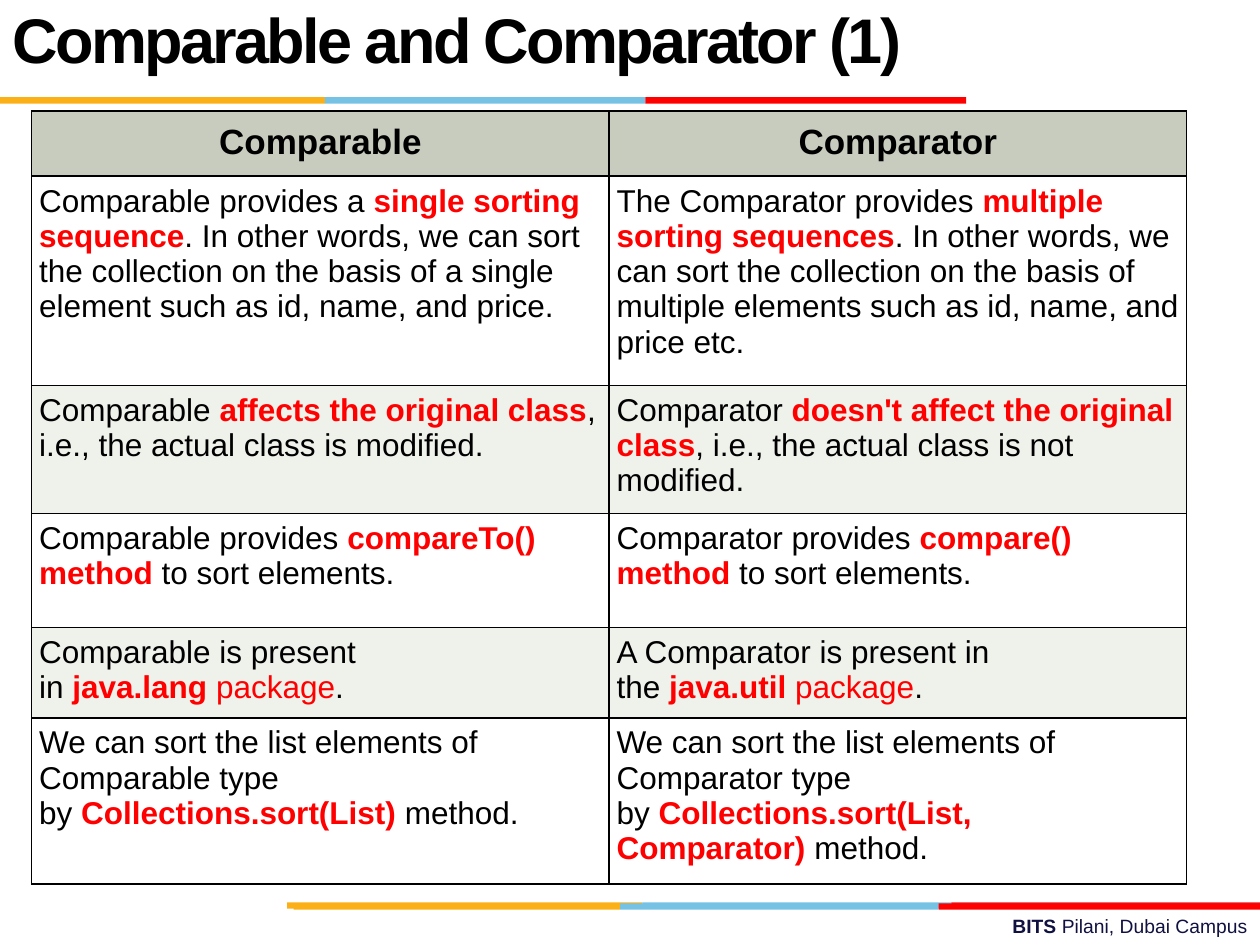
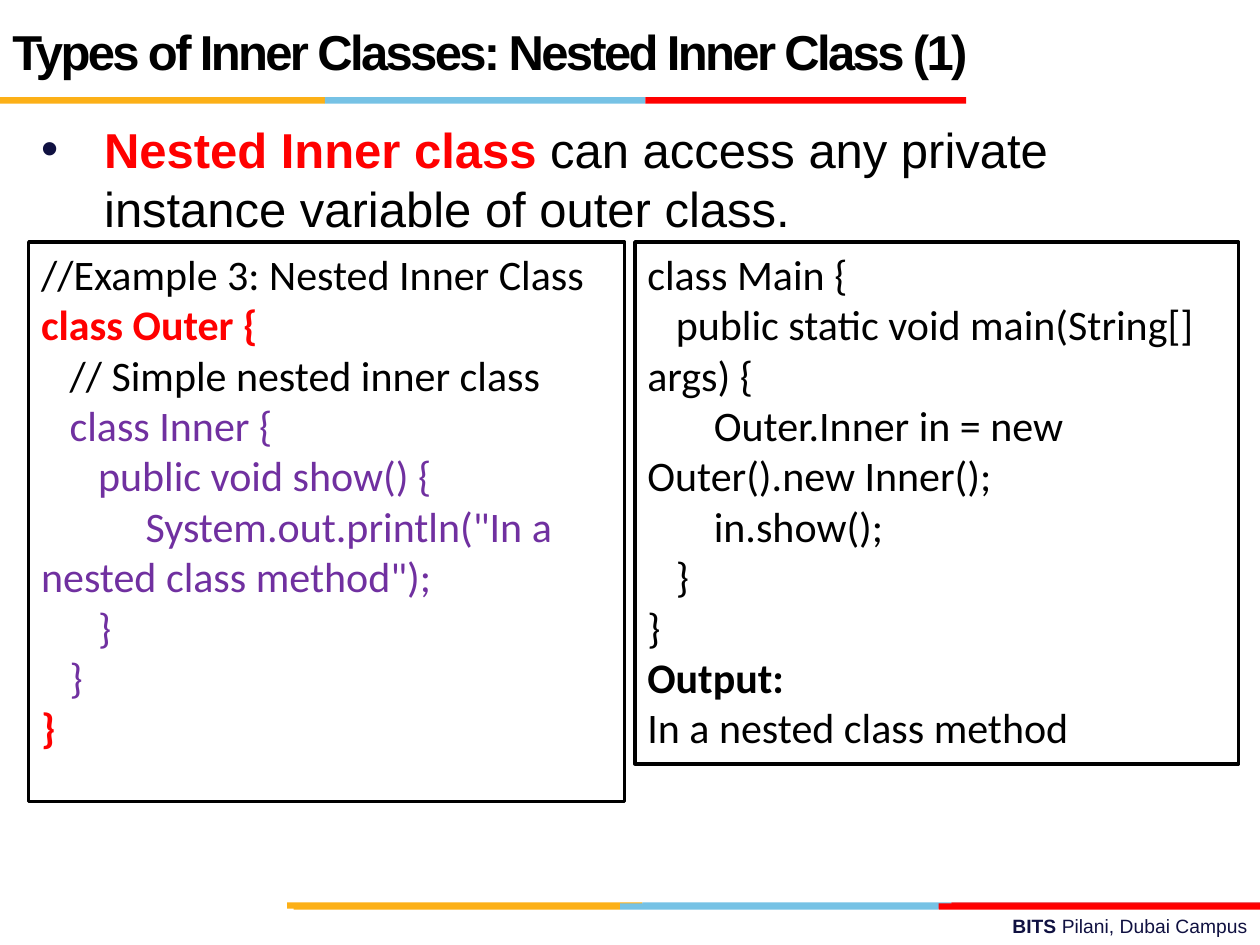
import pptx
import pptx.util
import pptx.dml.color
import pptx.enum.shapes
import pptx.enum.text
import pptx.oxml
import pptx.oxml.ns
from dataclasses import dataclass

Cm = pptx.util.Cm
Pt = pptx.util.Pt
Align = pptx.enum.text.PP_ALIGN
Anchor = pptx.enum.text.MSO_ANCHOR


@dataclass(frozen=True)
class Theme:
    ink: str = "000000"
    paper: str = "FFFFFF"
    red: str = "FF0000"
    brick: str = "E31C24"
    violet: str = "7030A0"
    navy: str = "101141"
    amber: str = "FCB017"
    sky: str = "76C2E5"
    head: str = "C7CCBE"
    band: str = "EFF1EB"
    sans: str = "Arial"
    code: str = "Calibri"
    big: int = 36
    lead: int = 28
    listing: int = 24
    label: int = 20
    cell: int = 18
    foot: int = 11


T = Theme()
MARKS = {
    "*": (T.red, True),
    "+": (T.red, False),
    "^": (T.violet, False),
    "!": (T.ink, True),
    "#": (T.navy, True),
    "=": (T.navy, False),
}

ROWS = [
    ("Comparable provides a~|*single sorting sequence|. In other words, we can sort "
     "the collection on the basis of a single element such as id, name, and price.",
     "The Comparator provides~|*multiple sorting sequences|. In other words, we can sort "
     "the collection on the basis of multiple elements such as id, name, and price etc."),
    ("Comparable~|*affects the original class|, i.e., the actual class is modified.",
     "Comparator~|*doesn't affect the original class|, i.e., the actual class is not modified."),
    ("Comparable provides~|*compareTo() method|~to sort elements.",
     "Comparator provides~|*compare() method|~to sort elements."),
    ("Comparable is present in~|*java.lang|+~package|.",
     "A Comparator is present in the~|*java.util|+~package|."),
    ("We can sort the list elements of Comparable type by~|*Collections.sort(List)|~method.",
     "We can sort the list elements of Comparator type by~"
     "|*Collections.sort(List, Comparator)|~method."),
]

OUTER = """//Example 3: Nested Inner Class
*class Outer {
   // Simple nested inner class
   |^class Inner {
^      public void show() {
^           System.out.println("In a nested class method");
^      }
   |^}
*}"""

MAIN = """class Main {
   public static void main(String[] args) {
       Outer.Inner in = new Outer().new Inner();
       in.show();
   }
}
!Output:
In a nested class method"""


def color(code):
    return pptx.dml.color.RGBColor.from_string(code)


def write(par, line, size, face=T.sans):
    parts = line.split("|")
    par.font.size = Pt(size)
    par.font.name = face
    for part in parts:
        tint, bold = MARKS.get(part[0], (T.ink, False))
        run = par.add_run()
        run.text = (part[1:] if part[0] in MARKS else part).replace("~", chr(160))
        font = run.font if len(parts) > 1 else par.font
        font.color.rgb = color(tint)
        font.bold = bold


def block(slide, box, tint):
    kind = pptx.enum.shapes.MSO_SHAPE.RECTANGLE
    shape = slide.shapes.add_shape(kind, *map(Cm, box))
    shape.shadow.inherit = False
    shape.fill.solid()
    shape.fill.fore_color.rgb = color(tint)
    shape.line.fill.background()
    return shape


def label(slide, box):
    frame = slide.shapes.add_textbox(*map(Cm, box)).text_frame
    frame.word_wrap = True
    return frame


def strip(slide, top, edges, last=T.red):
    for left, right, tint in zip(edges, edges[1:], (T.amber, T.sky, last)):
        block(slide, (left, top, right - left, 0.13), tint)


def base(deck):
    slide = deck.slides.add_slide(deck.slide_layouts[6])
    par = label(slide, (9.09, 18.31, 16.31, 0.74)).paragraphs[0]
    par.alignment = Align.RIGHT
    write(par, "#BITS |=Pilani, Dubai Campus", T.foot)
    strip(slide, 18.19, (5.79, 12.95, 19.18, 25.4), T.brick)
    strip(slide, 18.21, (5.92, 12.5, 18.92, 25.4))
    strip(slide, 1.96, (0, 6.55, 13.01, 19.48))
    return slide


def title(slide, box, text, size):
    frame = label(slide, box)
    frame.vertical_anchor = Anchor.MIDDLE
    par = frame.paragraphs[0]
    par.line_spacing = Pt(36)
    write(par, "!" + text, size)
    par.runs[0].font._element.set("spc", "-150")


def border(cell):
    props = cell._tc.get_or_add_tcPr()
    space = pptx.oxml.ns.nsdecls("a")
    for side in "LRTB":
        props.append(pptx.oxml.parse_xml(
            f'<a:ln{side} {space} w="12700"><a:solidFill>'
            f'<a:srgbClr val="{T.ink}"/></a:solidFill></a:ln{side}>'))


def fill(cell, line, tint, size, pad):
    border(cell)
    cell.fill.solid()
    cell.fill.fore_color.rgb = color(tint)
    cell.margin_left = cell.margin_right = Cm(pad)
    cell.margin_top = cell.margin_bottom = Cm(pad)
    write(cell.text_frame.paragraphs[0], line, size)


def matrix(slide, left, top, width, heights):
    box = map(Cm, (left, top, width, sum(heights)))
    table = slide.shapes.add_table(len(heights), 2, *box).table
    table.first_row = table.horz_banding = False
    for col in table.columns:
        col.width = Cm(width / 2)
    for row, height in zip(table.rows, heights):
        row.height = Cm(height)
    for x, name in enumerate(("Comparable", "Comparator")):
        cell = table.cell(0, x)
        cell.text_frame.paragraphs[0].alignment = Align.CENTER
        fill(cell, "!" + name, T.head, T.label, 0.23)
    for y, row in enumerate(ROWS, 1):
        for x, line in enumerate(row):
            fill(table.cell(y, x), line, T.paper if y % 2 else T.band, T.cell, 0.15)


def point(slide, box, line):
    frame = label(slide, box)
    frame.margin_top = Cm(0.23)
    par = frame.paragraphs[0]
    props = par._p.get_or_add_pPr()
    props.set("marL", str(Cm(1.27)))
    props.set("indent", str(Cm(-1.27)))
    space = pptx.oxml.ns.nsdecls("a")
    for xml in (f'<a:buClr {space}><a:srgbClr val="{T.navy}"/></a:buClr>',
                f'<a:buFont {space} typeface="{T.sans}"/>',
                f'<a:buChar {space} char="•"/>'):
        props.append(pptx.oxml.parse_xml(xml))
    write(par, line, T.lead)


def panel(slide, box, code):
    shape = block(slide, box, T.paper)
    shape.line.color.rgb = color(T.ink)
    shape.line.width = Pt(2)
    frame = shape.text_frame
    frame.word_wrap = True
    frame.vertical_anchor = Anchor.TOP
    for num, line in enumerate(code.splitlines()):
        par = frame.add_paragraph() if num else frame.paragraphs[0]
        par.alignment = Align.LEFT
        write(par, line, T.listing, T.code)


def compare(deck):
    slide = base(deck)
    title(slide, (0, 0.64, 18.85, 0.53), "Comparable and Comparator (1)", T.big)
    matrix(slide, 0.64, 2.24, 23.28, (1.24, 4.22, 2.44, 2.29, 1.73, 3.16))


def nested(deck):
    slide = base(deck)
    point(slide, (0.58, 2.18, 24.38, 15.85),
          "*Nested Inner class|~can access any private instance variable of outer class.~")
    title(slide, (0, 0.48, 20.52, 1.02),
          "Types of Inner Classes: Nested Inner Class (1)", T.lead)
    panel(slide, (0.58, 4.88, 12.01, 11.28), OUTER)
    panel(slide, (12.8, 4.88, 12.17, 10.52), MAIN)


def main():
    deck = pptx.Presentation()
    deck.slide_width, deck.slide_height = Cm(25.4), Cm(19.05)
    compare(deck)
    nested(deck)
    deck.save("out.pptx")


if __name__ == "__main__":
    main()
